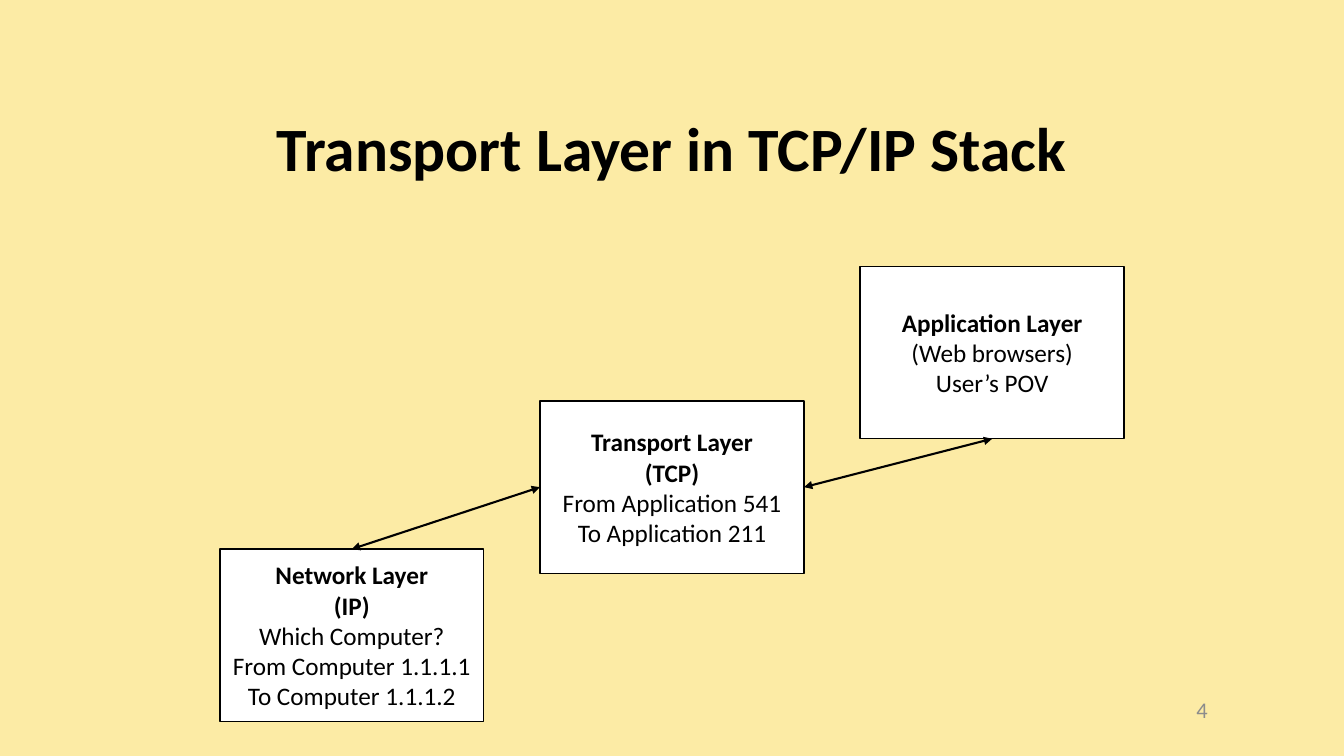
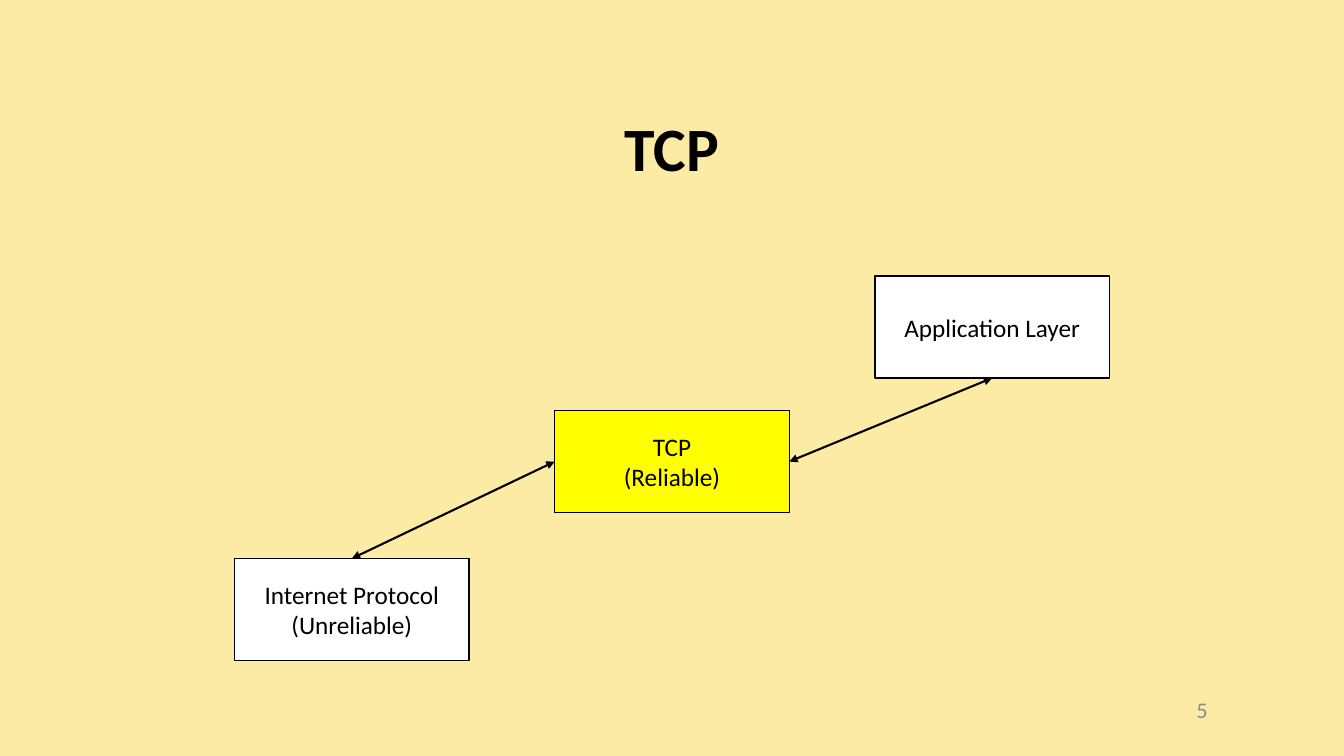
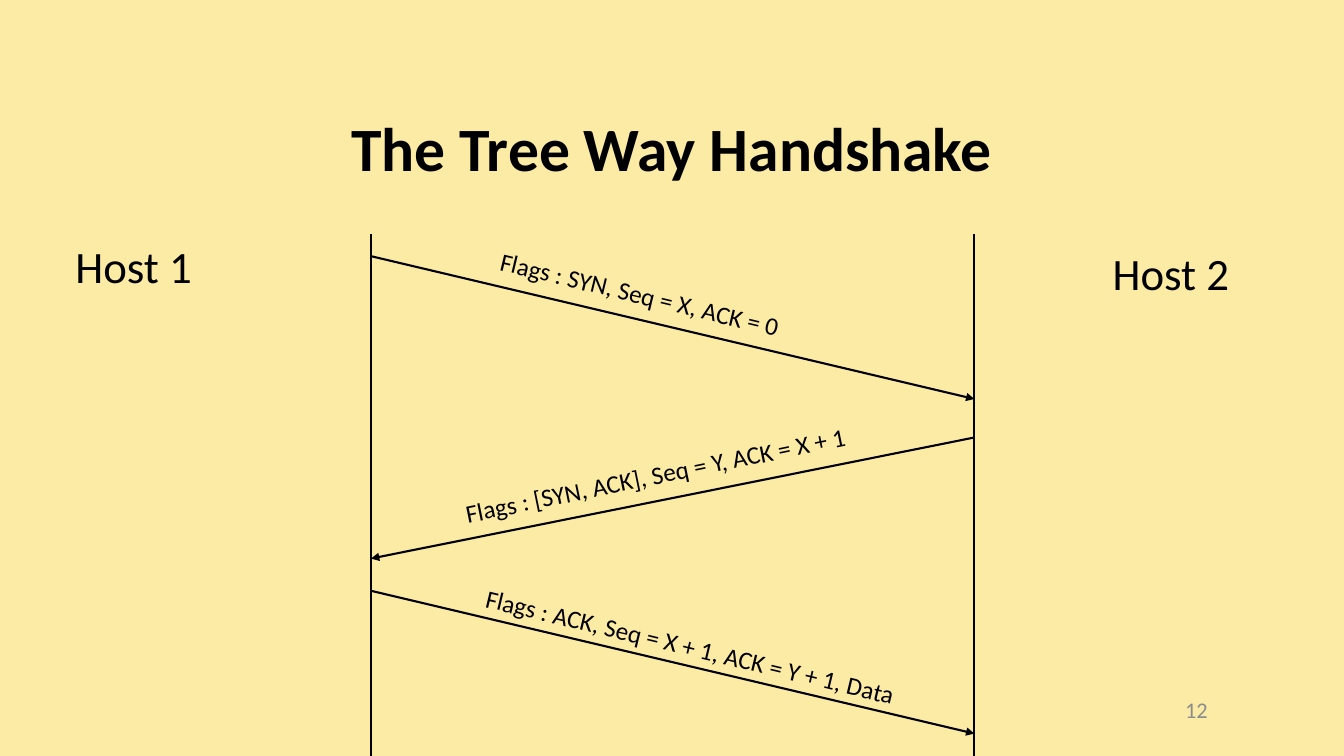
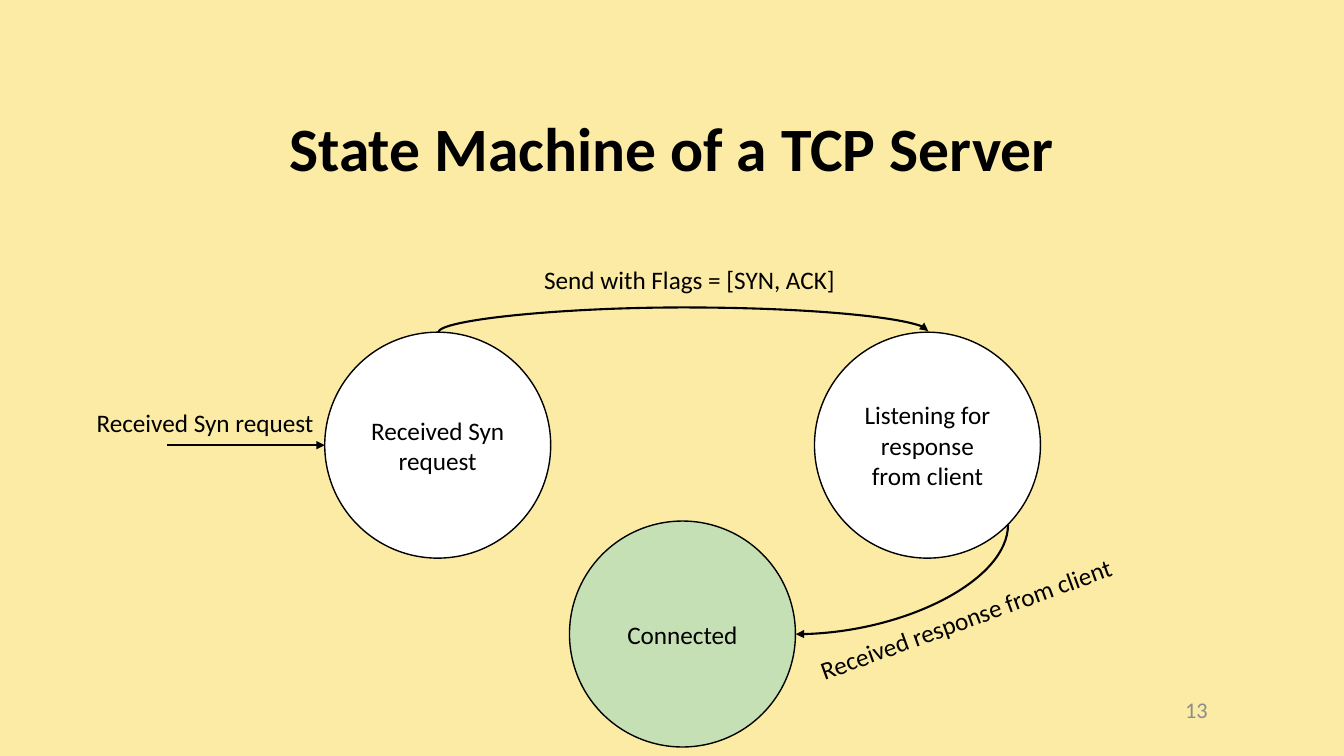
import pptx
import pptx.util
import pptx.dml.color
import pptx.enum.shapes
import pptx.enum.text
import pptx.oxml
import pptx.oxml.ns

Pt = pptx.util.Pt
SHAPE = pptx.enum.shapes.MSO_SHAPE
LINE = pptx.enum.shapes.MSO_CONNECTOR
ALIGN = pptx.enum.text.PP_ALIGN
ANCHOR = pptx.enum.text.MSO_ANCHOR
qn = pptx.oxml.ns.qn

# Shared look
FONT = "Calibri"
BACKGROUND, BLACK, WHITE = "FCEBA5", "000000", "FFFFFF"
YELLOW, GREEN, GREY = "FFFF00", "C5E0B4", "8C8C8C"


def colour(hex_value):
    return pptx.dml.color.RGBColor.from_string(hex_value)


def add_run(p, text, size=18, color=BLACK, bold=False):
    r = p.add_run()
    r.text = text
    r.font.name = FONT
    r.font.size = Pt(size)
    r.font.bold = bold
    r.font.color.rgb = colour(color)


# Slide frame: title and slide number
def add_slide(prs, title, number):
    s = prs.slides.add_slide(prs.slide_layouts[5])
    sp = s.shapes.title
    sp.left, sp.top, sp.width, sp.height = Pt(120), Pt(75), Pt(720), Pt(66)
    tf = sp.text_frame
    tf.auto_size = pptx.enum.text.MSO_AUTO_SIZE.NONE
    tf.vertical_anchor = ANCHOR.MIDDLE
    p = tf.paragraphs[0]
    p.alignment = ALIGN.CENTER
    p.line_spacing = 0.9
    add_run(p, title, 44, bold=True)
    add_label(s, str(number), 653.8, 492.5, 216, size=16, color=GREY,
              align=ALIGN.RIGHT, anchor=ANCHOR.MIDDLE)
    return s


# Text and shapes
def add_label(s, text, left, top, width, height=28.8, size=18, color=BLACK,
              rotation=0, align=ALIGN.LEFT, anchor=ANCHOR.TOP):
    sp = s.shapes.add_textbox(Pt(left), Pt(top), Pt(width), Pt(height))
    sp.rotation = rotation
    tf = sp.text_frame
    tf.word_wrap = True
    tf.vertical_anchor = anchor
    p = tf.paragraphs[0]
    p.alignment = align
    add_run(p, text, size, color)


def add_box(s, kind, left, top, width, height, lines, bold_lines=0, fill=WHITE):
    sp = s.shapes.add_shape(kind, Pt(left), Pt(top), Pt(width), Pt(height))
    sp.shadow.inherit = False
    sp.fill.solid()
    sp.fill.fore_color.rgb = colour(fill)
    sp.line.color.rgb = colour(BLACK)
    sp.line.width = Pt(1)
    tf = sp.text_frame
    tf.word_wrap = True
    tf.vertical_anchor = ANCHOR.MIDDLE
    for i, text in enumerate(lines):
        p = tf.add_paragraph() if i else tf.paragraphs[0]
        p.alignment = ALIGN.CENTER
        add_run(p, text, bold=i < bold_lines)
    return sp


# Lines and arrows
def style_line(c, *ends):
    c.line.color.rgb = colour(BLACK)
    c.line.width = Pt(1.5)
    ln = c.line._get_or_add_ln()
    for end in ends:
        ln.append(pptx.oxml.parse_xml(
            f'<a:{end} {pptx.oxml.ns.nsdecls("a")} type="triangle"/>'))
    c.element.spPr.append(pptx.oxml.parse_xml(
        f'<a:effectLst {pptx.oxml.ns.nsdecls("a")}/>'))


def add_line(s, x1, y1, x2, y2, *ends):
    c = s.shapes.add_connector(LINE.STRAIGHT, Pt(x1), Pt(y1), Pt(x2), Pt(y2))
    style_line(c, *ends)
    return c


def add_link(s, lower, upper):
    """Two-headed arrow from the top of one box to the left of the next."""
    c = add_line(s, 0, 0, 1, 1, "headEnd", "tailEnd")
    c.begin_connect(lower[0], lower[1])
    c.end_connect(upper[0], upper[1])


def add_curve(s, x1, y1, x2, y2, preset, bend=None):
    """Curved arrow that leaves vertically: the preset turned by 90 degrees."""
    dx, dy = x2 - x1, y2 - y1
    width, height = abs(dy), abs(dx)
    left, top = (x1 + x2 - width) / 2, (y1 + y2 - height) / 2
    c = s.shapes.add_connector(LINE.CURVE, Pt(left), Pt(top),
                               Pt(left + width), Pt(top + height))
    xfrm = c.element.spPr.find(qn("a:xfrm"))
    xfrm.set("rot", "5400000")
    if dy < 0:
        xfrm.set("flipH", "1")
    if dx > 0:
        xfrm.set("flipV", "1")
    geom = c.element.spPr.find(qn("a:prstGeom"))
    geom.set("prst", preset)
    if bend is not None:
        geom.find(qn("a:avLst")).append(pptx.oxml.parse_xml(
            f'<a:gd {pptx.oxml.ns.nsdecls("a")} name="adj1" '
            f'fmla="val {bend * 100000}"/>'))
    style_line(c, "tailEnd")


# Three layers rising from left to right
def add_layers(s, base_top, width, height, layers):
    boxes = []
    for i, (lines, bold_lines, fill) in enumerate(layers):
        center = 480 + (i - 1) * 228.7
        top = base_top - (0, 105.8, 202)[i]
        boxes.append(add_box(s, SHAPE.RECTANGLE, center - width / 2, top,
                             width, height, lines, bold_lines, fill))
    network, transport, application = boxes
    add_link(s, (network, 0), (transport, 1))
    add_link(s, (transport, 3), (application, 2))


def stack_slide(prs):
    s = add_slide(prs, "Transport Layer in TCP/IP Stack", 4)
    add_layers(s, 392.2, 188.6, 123.2, [
        (["Network Layer", "(IP)", "Which Computer?", "From Computer 1.1.1.1",
          "To Computer 1.1.1.2"], 2, WHITE),
        (["Transport Layer", "(TCP)", "From Application 541",
          "To Application 211"], 2, WHITE),
        (["Application Layer", "(Web browsers)", "User’s POV"], 1, WHITE)])


def tcp_slide(prs):
    s = add_slide(prs, "TCP", 5)
    add_layers(s, 399, 167.6, 73, [
        (["Internet Protocol", "(Unreliable)"], 0, WHITE),
        (["TCP", "(Reliable)"], 0, YELLOW),
        (["Application Layer"], 0, WHITE)])


def handshake_slide(prs):
    s = add_slide(prs, "The Tree Way Handshake", 12)
    host1, host2 = 265, 696
    for x in (host1, host2):
        add_line(s, x, 167, x, 558)
    for x1, y1, x2, y2 in ((host1, 183, host2, 285),
                           (host2, 312.5, host1, 399),
                           (host1, 422, host2, 524)):
        add_line(s, x1, y1, x2, y2, "tailEnd")
    add_label(s, "Host 1", 46.8, 167, 104.4, 46, size=32)
    add_label(s, "Host 2", 787.7, 172, 104.4, 46, size=32)
    for text, left, top, width, rotation in (
            ("Flags : SYN, Seq = X, ACK = 0", 347.8, 197.3, 231.8, 13.6),
            ("Flags : [SYN, ACK], Seq = Y, ACK = X + 1",
             322.6, 322.6, 311, 348.4),
            ("Flags : ACK, Seq = X + 1, ACK = Y + 1, Data",
             336.2, 448.6, 325.4, 13.5)):
        add_label(s, text, left, top, width, rotation=rotation)


def state_slide(prs):
    s = add_slide(prs, "State Machine of a TCP Server", 13)
    size = 161.4
    for text, left, top, fill in (
            ("Received Syn request", 232, 237.3, WHITE),
            ("Listening for response from client", 581.8, 237.3, WHITE),
            ("Connected", 406.8, 372.2, GREEN)):
        add_box(s, SHAPE.OVAL, left, top, size, size, [text], fill=fill)
    add_line(s, 119.5, 318, 232, 318, "tailEnd")
    add_curve(s, 313, 237.5, 663, 236.5, "curvedConnector3", bend=18)
    add_curve(s, 720, 375, 568.5, 453, "curvedConnector2")
    add_label(s, "Received Syn request", 61.9, 287.3, 194.4)
    add_label(s, "Send with Flags = [SYN, ACK]", 381.6, 185, 229.7)
    add_label(s, "Received response from client", 572.4, 424.8, 248.4,
              rotation=339.9)


def main():
    prs = pptx.Presentation()
    prs.slide_width, prs.slide_height = Pt(960), Pt(540)
    fill = prs.slide_master.background.fill
    fill.solid()
    fill.fore_color.rgb = colour(BACKGROUND)
    stack_slide(prs)
    tcp_slide(prs)
    handshake_slide(prs)
    state_slide(prs)
    prs.save("out.pptx")


if __name__ == "__main__":
    main()
